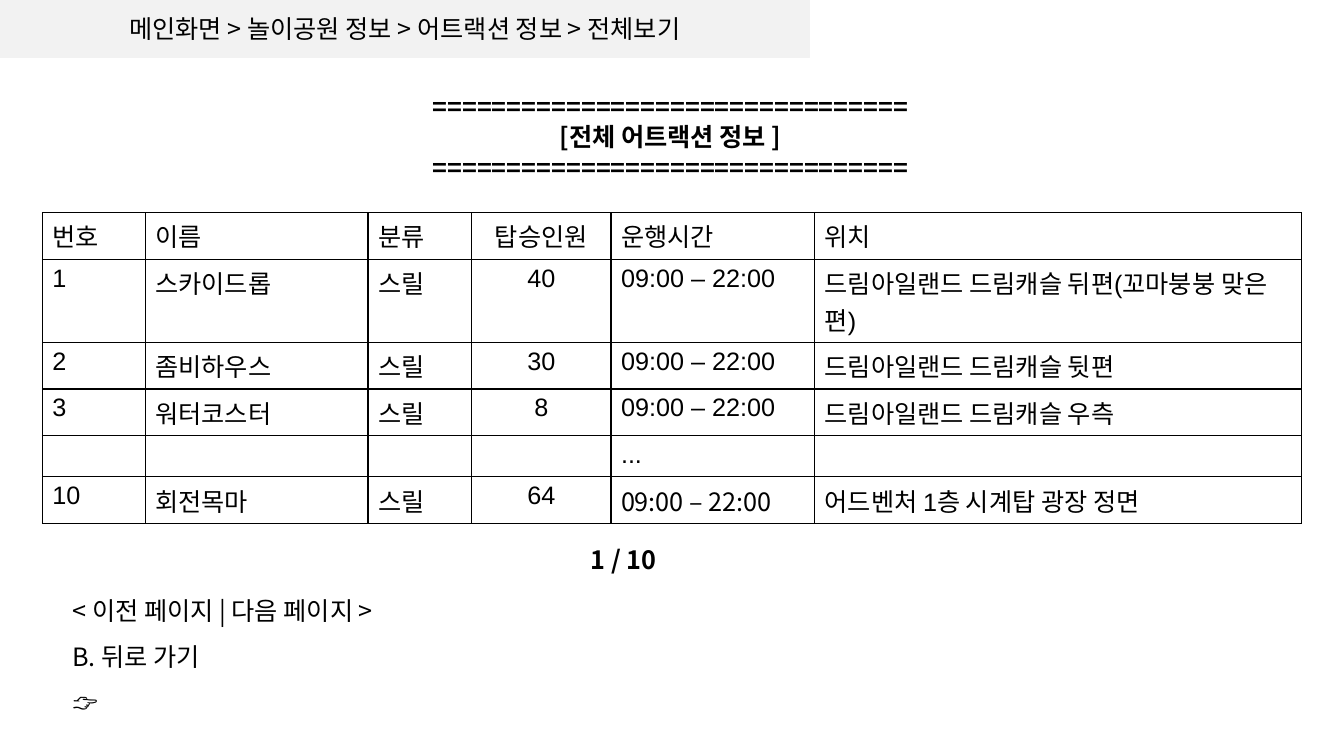
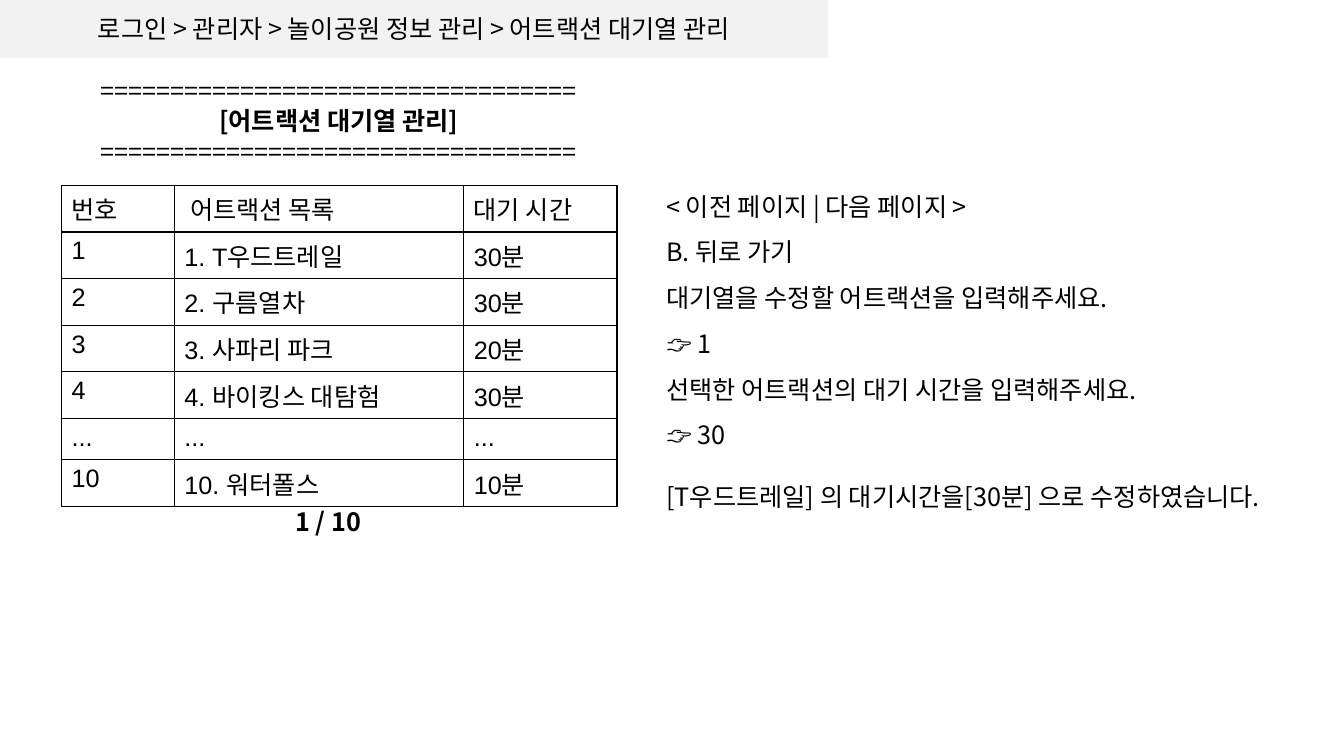
from dataclasses import dataclass

from lxml import etree
from pptx import Presentation
from pptx.dml.color import RGBColor
from pptx.enum.shapes import MSO_SHAPE
from pptx.enum.text import MSO_ANCHOR, MSO_AUTO_SIZE, PP_ALIGN
from pptx.oxml.ns import qn
from pptx.util import Inches, Pt

PROCESS = MSO_SHAPE.FLOWCHART_PROCESS
TOP, MIDDLE = MSO_ANCHOR.TOP, MSO_ANCHOR.MIDDLE
LEFT, CENTER = PP_ALIGN.LEFT, PP_ALIGN.CENTER
NO_AUTOFIT = MSO_AUTO_SIZE.NONE
TITLE_ONLY = 5


@dataclass(frozen=True)
class Theme:
    ink: RGBColor = RGBColor(0, 0, 0)
    band: RGBColor = RGBColor(0xF2, 0xF2, 0xF2)
    font: str = "Noto Sans CJK KR"
    table_font: str = "Arial"
    size: Pt = Pt(18)
    border: Pt = Pt(1)
    single: Pt = Pt(21.8)
    wide: Pt = Pt(32.7)
    row_height: float = 0.41
    band_height: float = 0.57


THEME = Theme()


# Text
def style_paragraph(para, align=LEFT, bold=False, spacing=None, font=THEME.font):
    para.alignment = align
    para.line_spacing = spacing
    for run in para.runs:
        run.font.size = THEME.size
        run.font.bold = bold
        run.font.name = font
        run.font.color.rgb = THEME.ink
        east_asian = etree.SubElement(run.font._element, qn("a:ea"))
        east_asian.set("typeface", THEME.font)


def fill_frame(shape, lines, anchor=TOP, **style):
    frame = shape.text_frame
    frame.word_wrap = True
    frame.auto_size = NO_AUTOFIT
    frame.vertical_anchor = anchor
    frame.text = "\n".join(lines)
    for para in frame.paragraphs:
        style_paragraph(para, **style)
    return frame


def add_text(slide, place, lines, anchor=TOP, **style):
    box = slide.shapes.add_textbox(*map(Inches, place))
    return fill_frame(box, lines, anchor, **style)


# Shared slide parts
def add_breadcrumb(slide, width, text):
    band = slide.shapes.add_shape(
        PROCESS, 0, 0, Inches(width), Inches(THEME.band_height))
    band.shadow.inherit = False
    band.fill.solid()
    band.fill.fore_color.rgb = THEME.band
    band.line.color.rgb = THEME.band
    band.line.width = THEME.border
    fill_frame(band, [text], MIDDLE, align=CENTER, spacing=THEME.single)


def add_heading(slide, place, text, rule_length, bold_rules):
    title = slide.shapes.title
    title.left, title.top, title.width, title.height = map(Inches, place)
    rule = "=" * rule_length
    frame = fill_frame(title, [rule, text, rule], MIDDLE,
                       align=CENTER, bold=True, spacing=THEME.single)
    for index in (0, 2):
        frame.paragraphs[index].runs[0].font.bold = bold_rules


def add_page_number(slide, left, top):
    add_text(slide, (left, top, 1.07, 0.5), ["1 / 10"],
             bold=True, spacing=THEME.wide)


# Tables
def draw_borders(cell):
    properties = cell._tc.get_or_add_tcPr()
    for index, side in enumerate(("lnL", "lnR", "lnT", "lnB")):
        line = etree.Element(qn(f"a:{side}"), w=str(THEME.border))
        fill = etree.SubElement(line, qn("a:solidFill"))
        etree.SubElement(fill, qn("a:srgbClr"), val=str(THEME.ink))
        properties.insert(index, line)


def add_grid(slide, left, top, widths, rows, centered=()):
    frame = slide.shapes.add_table(
        len(rows), len(widths), Inches(left), Inches(top),
        Inches(sum(widths)), Inches(THEME.row_height * len(rows)))
    table = frame.table
    table.first_row = False
    table.horz_banding = False
    for column, width in zip(table.columns, widths):
        column.width = Inches(width)
    for row_index, values in enumerate(rows):
        table.rows[row_index].height = Inches(THEME.row_height)
        for column_index, value in enumerate(values):
            cell = table.cell(row_index, column_index)
            cell.fill.background()
            draw_borders(cell)
            cell.text_frame.text = value
            align = CENTER if column_index in centered else LEFT
            style_paragraph(cell.text_frame.paragraphs[0], align,
                            font=THEME.table_font)
    return table


# Slides
def build_attraction_list(slide):
    add_breadcrumb(slide, 8.03, "메인화면 > 놀이공원 정보 > 어트랙션 정보 > 전체보기")
    add_heading(slide, (0, 0.85, 13.3, 1.01), "[전체 어트랙션 정보 ]", 32, True)
    hours = "09:00 – 22:00"
    rows = [
        ("번호", "이름", "분류", "탑승인원", "운행시간", "위치"),
        ("1", "스카이드롭", "스릴", "40", hours,
         "드림아일랜드 드림캐슬 뒤편(꼬마붕붕 맞은편)"),
        ("2", "좀비하우스", "스릴", "30", hours, "드림아일랜드 드림캐슬 뒷편"),
        ("3", "워터코스터", "스릴", "8", hours, "드림아일랜드 드림캐슬 우측"),
        ("", "", "", "", "...", ""),
        ("10", "회전목마", "스릴", "64", hours, "어드벤처 1층 시계탑 광장 정면"),
    ]
    table = add_grid(slide, 0.42, 2.11, (1.02, 2.21, 1.03, 1.38, 2.02, 4.83),
                     rows, centered=(3,))
    last_hours = table.cell(len(rows) - 1, 4).text_frame.paragraphs[0]
    last_hours.runs[0].font.name = THEME.font
    add_page_number(slide, 5.76, 5.2)
    add_text(slide, (0.62, 5.7, 4.07, 1.41),
             ["< 이전 페이지 | 다음 페이지 >", "B. 뒤로 가기", "👉"],
             spacing=THEME.wide)


def build_queue_management(slide):
    add_breadcrumb(slide, 8.21,
                   "로그인 > 관리자 > 놀이공원 정보 관리 > 어트랙션 대기열 관리")
    add_heading(slide, (-0.4, 0.69, 7.52, 1.01), "[어트랙션 대기열 관리]", 34, False)
    rows = [
        ("번호", " 어트랙션 목록", "대기 시간"),
        ("1", "1. T우드트레일", "30분"),
        ("2", "2. 구름열차", "30분"),
        ("3", "3. 사파리 파크", "20분"),
        ("4", "4. 바이킹스 대탐험", "30분"),
        ("...", "...", "..."),
        ("10", "10. 워터폴스", "10분"),
    ]
    add_grid(slide, 0.61, 1.84, (1.12, 2.87, 1.52), rows)
    add_page_number(slide, 2.83, 4.82)

    # Console dialogue
    dialogue = add_text(slide, (6.51, 1.69, 6.75, 3.58), [
        "< 이전 페이지 | 다음 페이지 >",
        "B. 뒤로 가기",
        "대기열을 수정할 어트랙션을 입력해주세요.",
        "👉 1",
        "선택한 어트랙션의 대기 시간을 입력해주세요.",
        "👉 30",
        "[T우드트레일] 의 대기시간을[30분] 으로 수정하였습니다.",
    ], MIDDLE, spacing=THEME.wide)
    first, last = dialogue.paragraphs[0], dialogue.paragraphs[-1]
    first.line_spacing = last.line_spacing = THEME.single
    last.space_before = THEME.single


def main():
    deck = Presentation()
    deck.slide_width, deck.slide_height = Inches(13.33), Inches(7.5)
    for build in (build_attraction_list, build_queue_management):
        build(deck.slides.add_slide(deck.slide_layouts[TITLE_ONLY]))
    deck.save("out.pptx")


if __name__ == "__main__":
    main()
